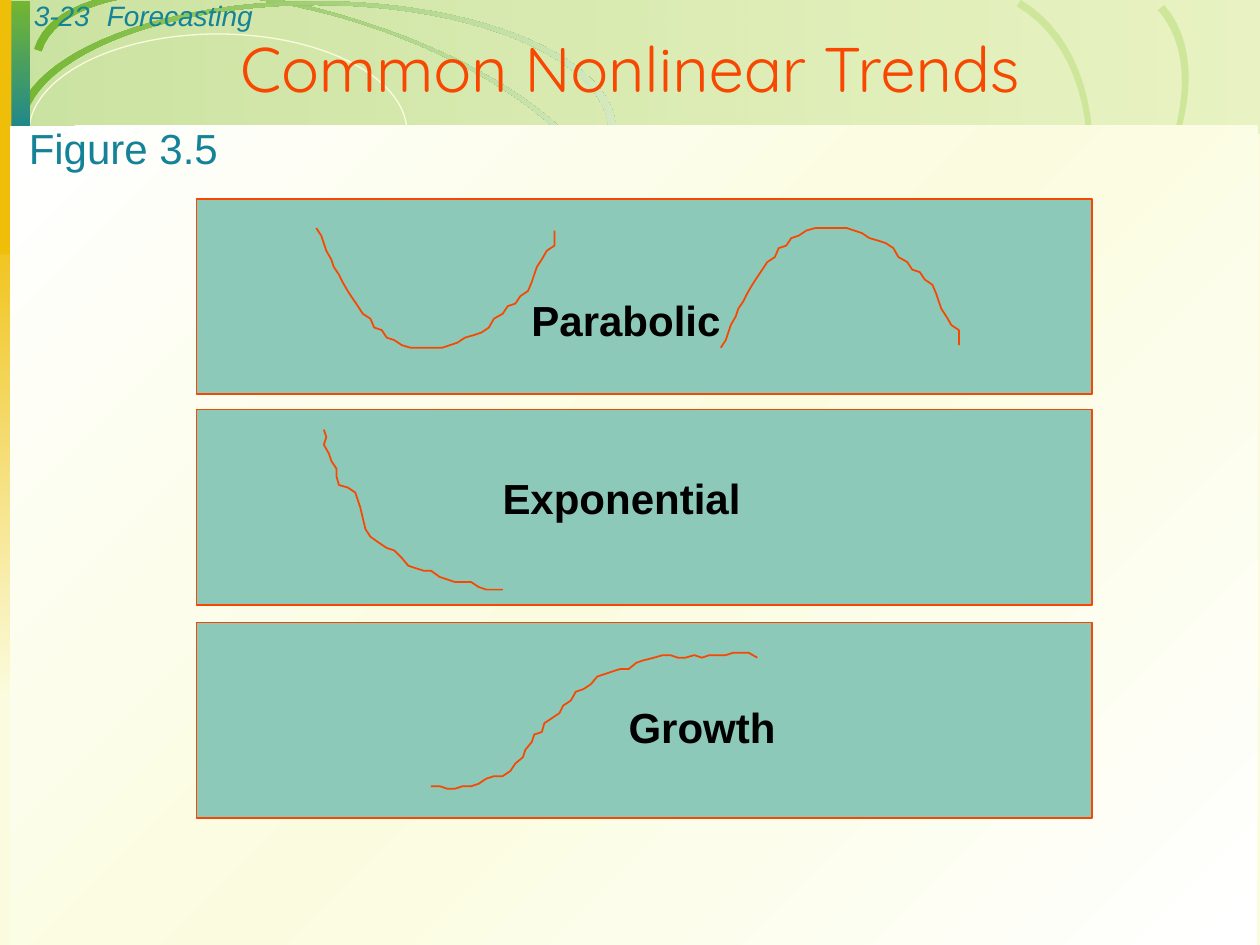
import pptx
import pptx.util
from lxml import etree
from pptx.dml.color import RGBColor
from pptx.enum.shapes import MSO_SHAPE
from pptx.enum.text import MSO_ANCHOR, PP_ALIGN
from pptx.oxml.ns import qn
from pptx.util import Inches, Pt

THEME = {
    "cream": "FBFCDF", "white": "FFFFFF", "green": "74B632", "lime": "BCDD7B",
    "pale": "D5E9C1", "sprout": "CDE69A", "teal": "148298", "gold": "EFBE09",
    "orange": "F84700", "panel": "8DC9B9", "black": "000000",
    "header_pt": 16, "body_pt": 24, "title_pt": 36, "line_pt": 1,
}


def paint(sp, stops=(), angle=0, line=None, width=THEME["line_pt"]):
    """Fill with no, one or several (position, colour, opacity) stops."""
    sp.shadow.inherit = False
    if not stops:
        sp.fill.background()
    elif len(stops) == 1:
        sp.fill.solid()
        sp.fill.fore_color.rgb = RGBColor.from_string(THEME[stops[0][1]])
    else:
        sp.fill.gradient()
        grad = sp.fill._xPr.find(qn("a:gradFill"))
        stop_list = grad.find(qn("a:gsLst"))
        for old in list(stop_list):
            stop_list.remove(old)
        for position, colour, opacity in stops:
            gs = etree.SubElement(stop_list, qn("a:gs"), pos=str(position * 1000))
            clr = etree.SubElement(gs, qn("a:srgbClr"), val=THEME[colour])
            if opacity < 100:
                etree.SubElement(clr, qn("a:alpha"), val=str(opacity * 1000))
        grad.find(qn("a:lin")).set("ang", str(angle * 60000))
    if line:
        sp.line.color.rgb = RGBColor.from_string(THEME[line])
        sp.line.width = Pt(width)
    else:
        sp.line.fill.background()


def outline(points, closed):
    pts = [(Inches(x), Inches(y)) for x, y in points]
    builder = s.shapes.build_freeform(*pts[0])
    builder.add_line_segments(pts[1:], close=closed)
    return builder.convert_to_shape()


prs = pptx.Presentation()
prs.slide_width, prs.slide_height = Inches(10), Inches(7.5)
s = prs.slides.add_slide(prs.slide_layouts[6])
s.background.fill.solid()
s.background.fill.fore_color.rgb = RGBColor.from_string(THEME["cream"])

# Header band
band = s.shapes.add_shape(MSO_SHAPE.RECTANGLE, Inches(0.01), 0, Inches(9.99), Inches(1.06))
paint(band, [(0, "green", 36), (100, "lime", 29)])
ring = s.shapes.add_shape(MSO_SHAPE.OVAL, Inches(0.23), Inches(0.27), Inches(3), Inches(1.56))
paint(ring, line="cream", width=0.75)

# Swooshes: two edges each, as chained cubic curves
fade = [(0, "green", 100), (100, "pale", 100)]
plain = [(0, "sprout", 100)]
swooshes = [
    (fade,
     [(0.33, 0.41), (0.49, -0.1), (1.61, -0.2), (2.84, 0.18), (4.06, 0.57), (4.92, 1.29), (4.76, 1.8)],
     [(4.82, 1.82), (4.99, 1.3), (4.1, 0.55), (2.84, 0.16), (1.59, -0.24), (0.43, -0.14), (0.27, 0.39)]),
    (plain,
     [(5.73, 3.18), (6.19, 3.7), (7.34, 3.42), (8.3, 2.57), (9.25, 1.72), (9.65, 0.6), (9.19, 0.08)],
     [(9.24, 0.04), (9.71, 0.57), (9.3, 1.72), (8.32, 2.6), (7.34, 3.47), (6.16, 3.75), (5.68, 3.22)]),
    (plain,
     [(5.7, 4.04), (6.41, 4.46), (7.51, 3.91), (8.17, 2.81), (8.82, 1.71), (8.78, 0.47), (8.07, 0.05)],
     [(8.1, 0), (8.83, 0.43), (8.87, 1.7), (8.2, 2.83), (7.53, 3.96), (6.39, 4.53), (5.67, 4.1)]),
    (fade,
     [(0.19, 1.04), (0.19, 0.49), (1.23, 0.04), (2.51, 0.04), (3.79, 0.04), (4.83, 0.49), (4.83, 1.04)],
     [(4.89, 1.04), (4.89, 0.47), (3.83, 0.01), (2.51, 0.01), (1.19, 0.01), (0.12, 0.47), (0.12, 1.04)]),
]
STEPS = 24
for stops, *edges in swooshes:
    points = []
    for edge in edges:
        for start in (0, 3):
            a, b, c, d = edge[start:start + 4]
            for step in range(STEPS + 1):
                t = step / STEPS
                u = 1 - t
                points.append(tuple(u**3 * a[i] + 3 * u * u * t * b[i] + 3 * u * t * t * c[i] + t**3 * d[i]
                                    for i in (0, 1)))
    paint(outline(points, True), stops)

# Left bars, page body and the three panels
blocks = [
    ((0, 1.55, 0.22, 4.01), [(0, "gold", 100), (100, "cream", 100)], 90, None),
    ((0.01, 0.01, 0.23, 1.14), [(0, "green", 100), (100, "teal", 100)], 90, None),
    ((0, 0, 0.09, 2.02), [(0, "gold", 100)], 0, None),
    ((0.08, 1, 9.9, 6.5), [(0, "white", 100), (50, "cream", 100), (100, "white", 100)], 45, None),
]
blocks += [((1.56, top, 7.11, 1.55), [(0, "panel", 100)], 0, "orange") for top in (1.58, 3.25, 4.94)]
for box, stops, angle, line in blocks:
    sp = s.shapes.add_shape(MSO_SHAPE.RECTANGLE, *map(Inches, box))
    paint(sp, stops, angle, line)

# Trend curves; the second parabola is the first one turned over
valley = [
    (2.51, 1.81), (2.55, 1.87), (2.57, 1.93), (2.59, 1.99), (2.63, 2.06), (2.65, 2.12), (2.69, 2.18),
    (2.72, 2.24), (2.76, 2.31), (2.8, 2.37), (2.84, 2.43), (2.88, 2.49), (2.94, 2.53), (2.97, 2.6),
    (3.03, 2.62), (3.07, 2.68), (3.13, 2.7), (3.19, 2.74), (3.26, 2.76), (3.51, 2.76), (3.57, 2.74),
    (3.63, 2.72), (3.69, 2.68), (3.76, 2.66), (3.82, 2.64), (3.88, 2.6), (3.92, 2.53), (3.99, 2.49),
    (4.03, 2.43), (4.09, 2.41), (4.13, 2.35), (4.19, 2.31), (4.22, 2.24), (4.24, 2.18), (4.26, 2.12),
    (4.3, 2.06), (4.34, 1.99), (4.4, 1.95), (4.4, 1.83),
]
hill = [(x + 3.21, 4.57 - y) for x, y in valley]
decay = [
    (2.57, 3.41), (2.59, 3.47), (2.57, 3.53), (2.61, 3.6), (2.63, 3.66), (2.67, 3.72), (2.67, 3.78),
    (2.69, 3.85), (2.76, 3.87), (2.82, 3.91), (2.84, 3.97), (2.86, 4.03), (2.9, 4.2), (2.94, 4.26),
    (3.01, 4.31), (3.07, 4.35), (3.13, 4.37), (3.19, 4.43), (3.24, 4.49), (3.3, 4.51), (3.36, 4.53),
    (3.42, 4.53), (3.49, 4.58), (3.55, 4.6), (3.61, 4.62), (3.74, 4.62), (3.8, 4.66), (3.86, 4.68),
    (3.99, 4.68),
]
growth = [
    (3.42, 6.24), (3.49, 6.24), (3.55, 6.26), (3.61, 6.26), (3.67, 6.24), (3.74, 6.24), (3.8, 6.22),
    (3.86, 6.18), (3.92, 6.16), (3.99, 6.16), (4.05, 6.12), (4.09, 6.06), (4.15, 6.01), (4.17, 5.95),
    (4.22, 5.89), (4.24, 5.83), (4.3, 5.81), (4.32, 5.74), (4.38, 5.7), (4.44, 5.66), (4.47, 5.6),
    (4.53, 5.56), (4.57, 5.49), (4.63, 5.47), (4.69, 5.43), (4.74, 5.37), (4.8, 5.35), (4.86, 5.33),
    (4.92, 5.31), (4.99, 5.31), (5.05, 5.26), (5.11, 5.24), (5.19, 5.22), (5.26, 5.2), (5.32, 5.2),
    (5.38, 5.22), (5.44, 5.22), (5.51, 5.2), (5.57, 5.22), (5.63, 5.2), (5.76, 5.2), (5.82, 5.18),
    (5.94, 5.18), (6.01, 5.22),
]
for trend in (valley, hill, decay, growth):
    paint(outline(trend, False), line="orange")

# Text
header = {"name": "Arial", "size": Pt(THEME["header_pt"]), "italic": True}
label = {"name": "Arial", "size": Pt(THEME["body_pt"]), "bold": True}
caption = {"name": "Arial", "size": Pt(THEME["body_pt"])}
title = {"name": "Quicksand", "size": Pt(THEME["title_pt"])}
texts = [
    ("3-23", (0.17, -0.06, 0.92, 0.37), header, "teal"),
    ("Forecasting", (0.75, -0.06, 8.67, 0.37), header, "teal"),
    ("Common Nonlinear Trends", (0, 0.27, 10, 0.61), title, "orange"),
    ("Parabolic", (4.12, 2.29, 1.8, 0.5), label, "black"),
    ("Exponential", (3.89, 3.7, 2.2, 0.5), label, "black"),
    ("Growth", (4.89, 5.52, 1.5, 0.5), label, "black"),
    ("Figure 3.5", (0.13, 0.92, 1.92, 0.5), caption, "teal"),
]
for text, box, fmt, colour in texts:
    tf = s.shapes.add_textbox(*map(Inches, box)).text_frame
    tf.word_wrap = True
    p = tf.paragraphs[0]
    if fmt is title:
        tf.vertical_anchor = MSO_ANCHOR.BOTTOM
        p.alignment = PP_ALIGN.CENTER
    r = p.add_run()
    r.text = text
    for key, value in fmt.items():
        setattr(r.font, key, value)
    r.font.color.rgb = RGBColor.from_string(THEME[colour])

prs.save("out.pptx")
